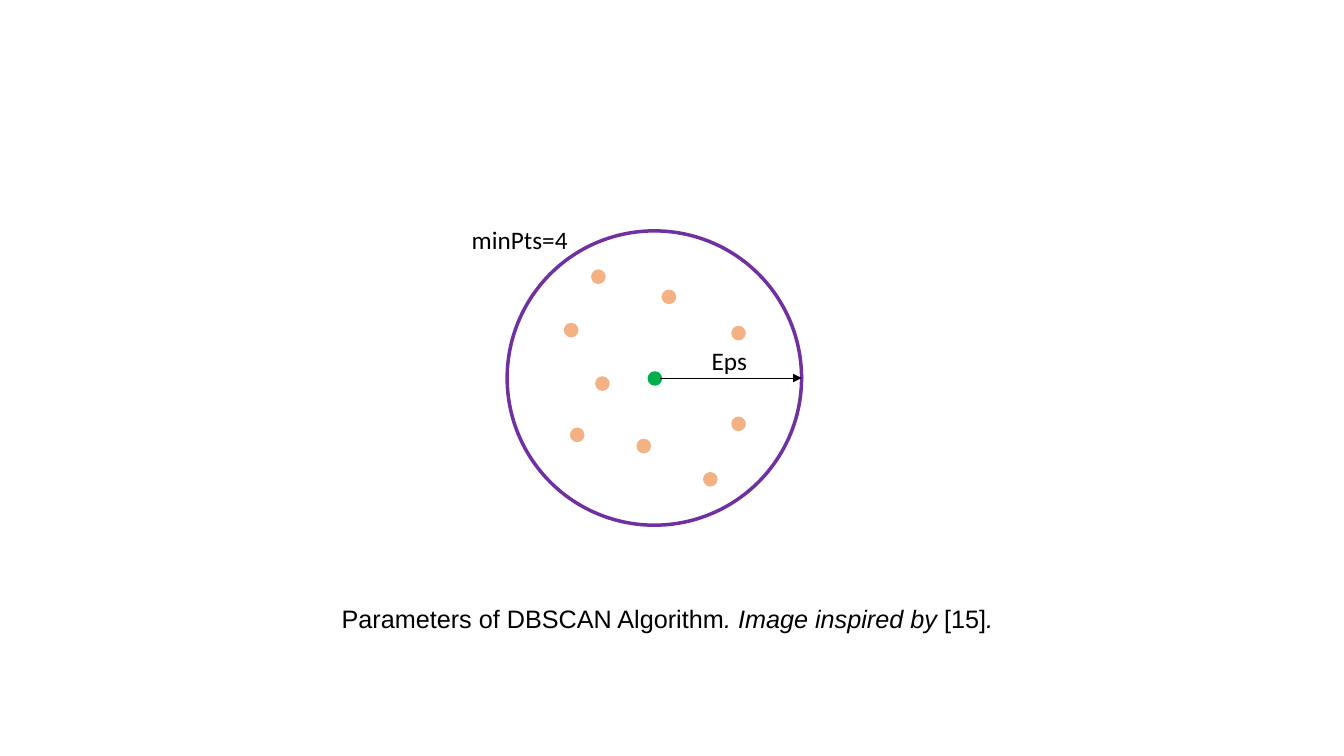
from lxml.etree import SubElement
from pptx import Presentation
from pptx.dml.color import RGBColor
from pptx.enum.shapes import MSO_CONNECTOR, MSO_SHAPE
from pptx.enum.text import MSO_AUTO_SIZE
from pptx.oxml.ns import qn
from pptx.util import Pt

PX = 9144
SLIDE_SIZE = (1333, 750)
PURPLE = RGBColor(0x70, 0x30, 0xA0)
GREEN = RGBColor(0x00, 0xB0, 0x50)
ORANGE = RGBColor(0xF4, 0xB1, 0x83)
BLACK = RGBColor(0, 0, 0)

NEIGHBORHOOD = (503, 229, 292, 292)
DOT_SIZE = 11
CORE_POINT = (644, 370)
NEIGHBORS = [
    (567, 426), (658, 289), (633, 437), (561, 322), (727, 415),
    (699, 470), (588, 269), (592, 375), (727, 325),
]
LABELS = [
    ((696, 338, 58, 40), "Calibri", True, [("Eps", False)]),
    ((458, 218, 125, 40), "Calibri", True, [("minPts=4", False)]),
    ((329, 594, 681, 40), "Arial", False, [
        ("Parameters of DBSCAN Algorithm", False),
        (". Image inspired by ", True),
        ("[15]", False),
        (".", True),
    ]),
]


def scaled(lengths):
    """Turn px lengths into EMU."""
    return [length * PX for length in lengths]


def add_circle(slide, box, line_color, fill_color=None):
    """Add an outlined circle, filled when a fill colour is given."""
    shape = slide.shapes.add_shape(MSO_SHAPE.OVAL, *scaled(box))
    shape.shadow.inherit = False
    shape.line.color.rgb = line_color
    shape.line.width = Pt(2.5)
    if fill_color is None:
        shape.fill.background()
    else:
        shape.fill.solid()
        shape.fill.fore_color.rgb = fill_color


def add_radius_arrow(slide):
    """Add the arrow from the core point to the edge of the neighborhood."""
    left, top, width, height = NEIGHBORHOOD
    middle = top + height // 2
    ends = (CORE_POINT[0] + DOT_SIZE, middle, left + width, middle)
    arrow = slide.shapes.add_connector(MSO_CONNECTOR.STRAIGHT, *scaled(ends))
    arrow.line.color.rgb = BLACK
    arrow.line.width = Pt(0.5)
    SubElement(arrow.line._get_or_add_ln(), qn("a:tailEnd"), type="triangle")
    SubElement(arrow._element.spPr, qn("a:effectLst"))


def add_label(slide, box, font_name, wrap, runs):
    """Add a text box with one paragraph of runs."""
    frame = slide.shapes.add_textbox(*scaled(box)).text_frame
    frame.word_wrap = wrap
    frame.auto_size = MSO_AUTO_SIZE.SHAPE_TO_FIT_TEXT
    for text, italic in runs:
        run = frame.paragraphs[0].add_run()
        run.text = text
        run.font.name = font_name
        run.font.size = Pt(18)
        run.font.italic = italic
        run.font.color.rgb = BLACK


def main():
    """Build the slide and save it."""
    presentation = Presentation()
    presentation.slide_width, presentation.slide_height = scaled(SLIDE_SIZE)
    slide = presentation.slides.add_slide(presentation.slide_layouts[6])
    add_circle(slide, NEIGHBORHOOD, PURPLE)
    dots = [(CORE_POINT, GREEN)] + [(point, ORANGE) for point in NEIGHBORS]
    for point, color in dots:
        add_circle(slide, (*point, DOT_SIZE, DOT_SIZE), color, color)
    add_radius_arrow(slide)
    for label in LABELS:
        add_label(slide, *label)
    presentation.save("out.pptx")


if __name__ == "__main__":
    main()
